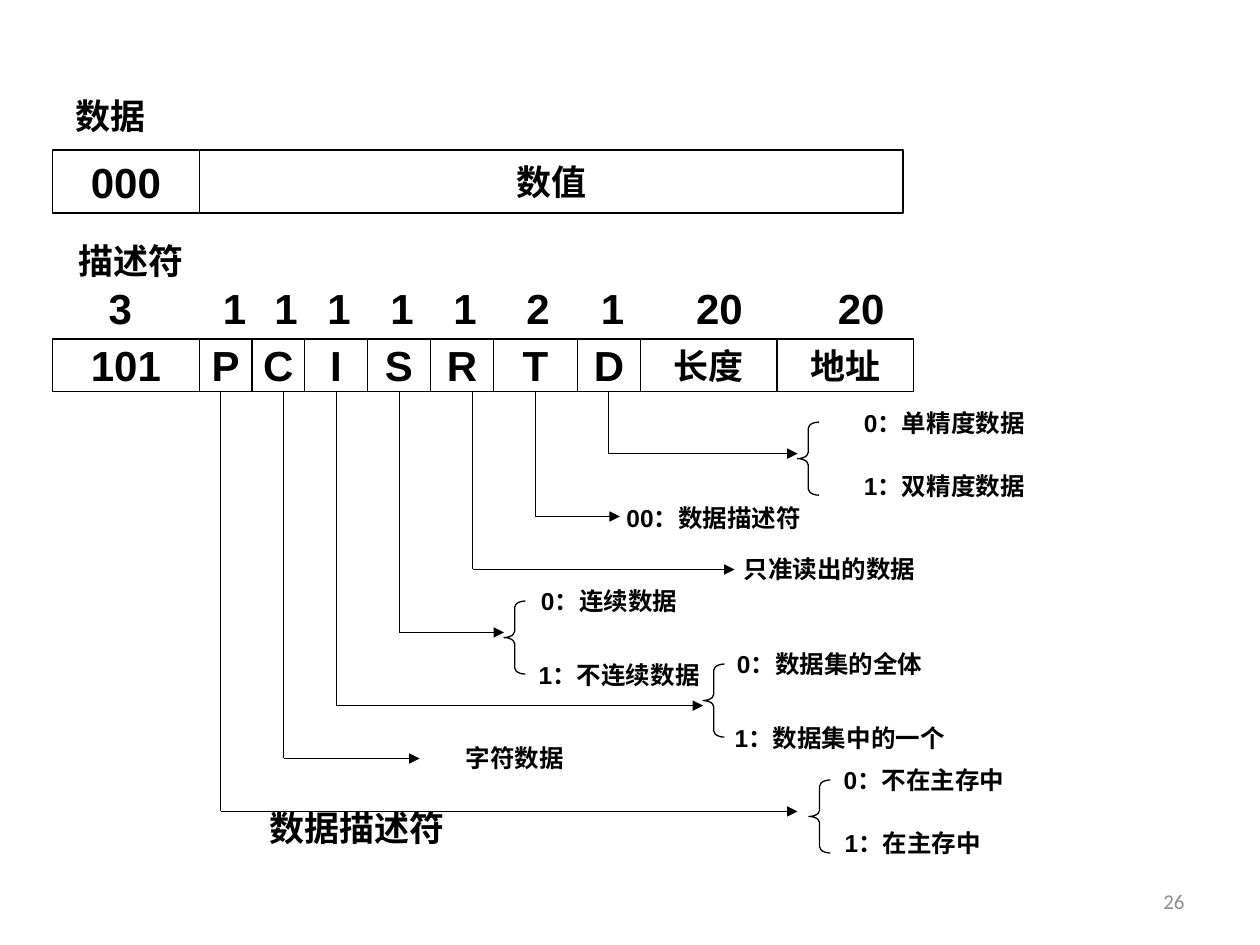
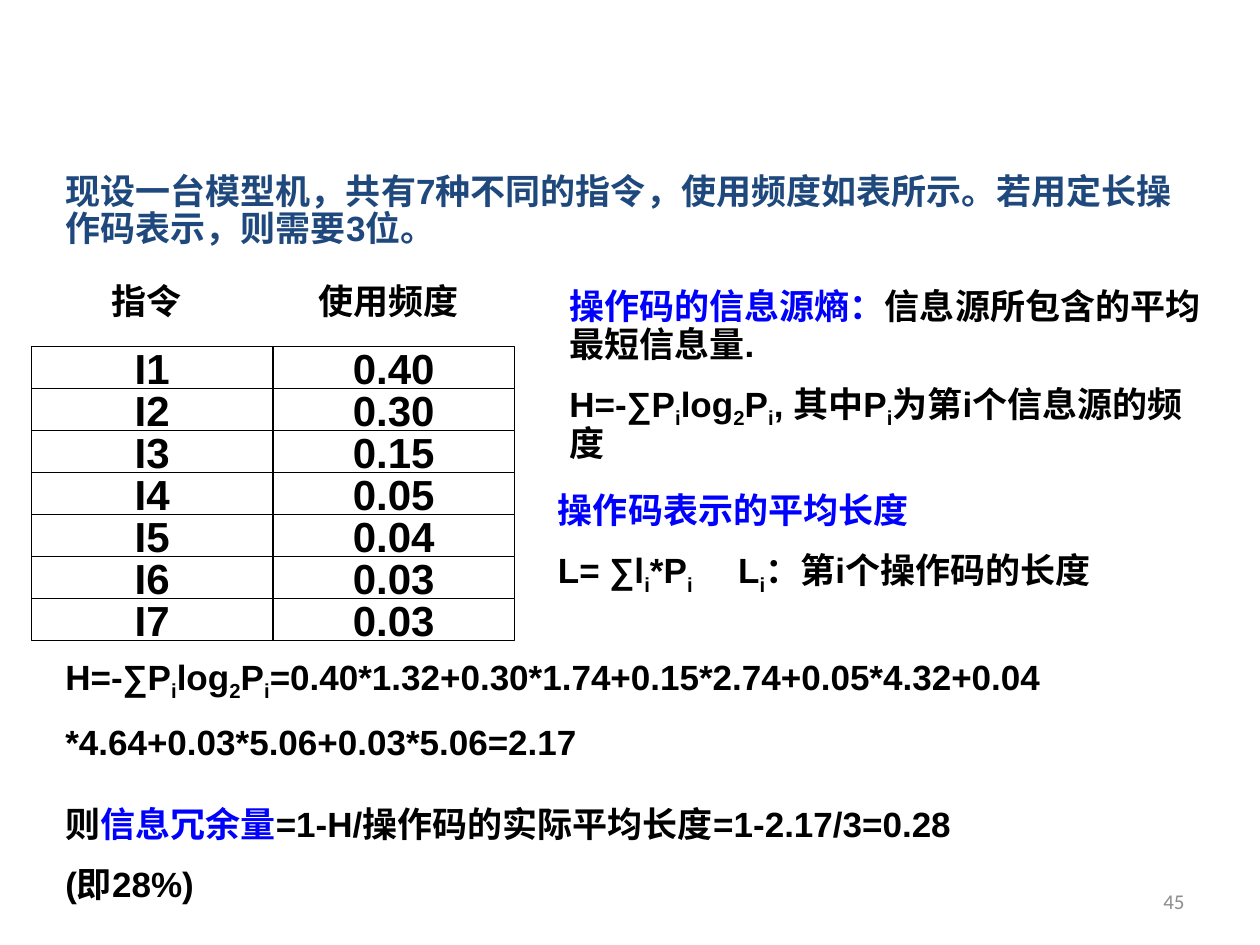
from lxml import etree
from pptx import Presentation
from pptx.dml.color import RGBColor
from pptx.enum.shapes import MSO_CONNECTOR, MSO_SHAPE
from pptx.enum.text import MSO_ANCHOR as Anchor, MSO_AUTO_SIZE as AutoSize, PP_ALIGN as Align
from pptx.oxml.ns import qn
from pptx.util import Inches, Pt

BLACK = RGBColor(0x00, 0x00, 0x00)
WHITE = RGBColor(0xFF, 0xFF, 0xFF)
BLUE = RGBColor(0x00, 0x00, 0xFF)
NAVY = RGBColor(0x1F, 0x49, 0x7D)
GRAY = RGBColor(0x8C, 0x8C, 0x8C)
HAIRLINE = Pt(0.75)
UNIT = 1 / 12

FIELDS = [
    ("101", 14, 24), ("P", 5, 24), ("C", 5, 24), ("I", 6, 24), ("S", 6, 24),
    ("R", 6, 24), ("T", 8, 24), ("D", 6, 24), ("长度", 13, 20), ("地址", 13, 20),
]
BIT_COUNTS = [
    ("3", 0.58, 0.75), ("1", 1.67, 0.33), ("1", 2.08, 0.33), ("1", 2.5, 0.33),
    ("1", 3, 0.33), ("1", 3.5, 0.33), ("2", 4.08, 0.33), ("1", 4.67, 0.33),
    ("20", 5.42, 0.58), ("20", 6.5, 0.67),
]
FLAG_PATHS = [
    (1.75, 6.44, 6.33), (2.25, 6.02, 3.33), (2.67, 5.6, 5.58), (3.17, 5.02, 4),
    (3.75, 4.52, 5.83), (4.25, 4.1, 4.92), (4.83, 3.6, 6.33),
]
BRACES = [(6.33, 3.35), (4, 4.77), (5.58, 5.27), (6.42, 6.19)]
FLAG_MEANINGS = [
    ("0：单精度数据", 6.58, 3.19, 1.83), ("1：双精度数据", 6.58, 3.69, 1.83),
    ("00：数据描述符", 4.75, 3.94, 1.83), ("只准读出的数据", 5.67, 4.35, 1.83),
    ("0：连续数据", 3.92, 4.6, 1.83), ("1：不连续数据", 4, 5.19, 1.83),
    ("0：数据集的全体", 5.67, 5.1, 1.83), ("1：数据集中的一个", 5.58, 5.69, 2.17),
    ("字符数据", 3.17, 5.85, 1.83), ("0：不在主存中", 6.42, 6.02, 1.83),
    ("1：在主存中", 6.33, 6.52, 1.83),
]
FREQUENCIES = ["0.40", "0.30", "0.15", "0.05", "0.04", "0.03", "0.03"]


def box(left, top, width, height):
    return [Inches(length) for length in (left, top, width, height)]


def add_run(paragraph, text, size, color, font, bold, subscript=False):
    run = paragraph.add_run()
    run.text = text
    run.font.size = Pt(size)
    run.font.name = font
    run.font.bold = bold
    run.font.color.rgb = color
    if subscript:
        run.font._element.set("baseline", "-25000")


def write_text(frame, paragraphs, size=20, color=BLACK, font="Arial", bold=True,
               align=Align.LEFT, line_spacing=None, gap=10):
    """Paragraphs hold strings or (string, colour) pairs; "_" lowers the next letter."""
    if isinstance(paragraphs, str):
        paragraphs = [[paragraphs]]
    for index, pieces in enumerate(paragraphs):
        paragraph = frame.add_paragraph() if index else frame.paragraphs[0]
        paragraph.alignment = align
        paragraph.space_before = Pt(gap if index else 0)
        if line_spacing:
            paragraph.line_spacing = line_spacing
        for piece in pieces:
            text, tint = (piece, color) if isinstance(piece, str) else piece
            plain, *lowered = text.split("_")
            if plain:
                add_run(paragraph, plain, size, tint, font, bold)
            for part in lowered:
                add_run(paragraph, part[0], size, tint, font, bold, subscript=True)
                if part[1:]:
                    add_run(paragraph, part[1:], size, tint, font, bold)


def add_label(slide, paragraphs, left, top, width, height=0.43, anchor=Anchor.TOP, **style):
    frame = slide.shapes.add_textbox(*box(left, top, width, height)).text_frame
    frame.word_wrap = True
    frame.auto_size = AutoSize.SHAPE_TO_FIT_TEXT if anchor == Anchor.TOP else AutoSize.NONE
    frame.vertical_anchor = anchor
    write_text(frame, paragraphs, **style)
    return frame


def add_outline(slide, preset, left, top, width, height):
    outline = slide.shapes.add_shape(preset, *box(left, top, width, height))
    outline.shadow.inherit = False
    outline.line.color.rgb = BLACK
    outline.line.width = HAIRLINE
    return outline


def add_field_row(slide, fields, top, height, first_unit=5):
    start = first_unit
    for name, units, size in fields:
        field = add_outline(slide, MSO_SHAPE.RECTANGLE, start * UNIT, top, units * UNIT, height)
        field.fill.solid()
        field.fill.fore_color.rgb = WHITE
        field.text_frame.word_wrap = False
        field.text_frame.vertical_anchor = Anchor.MIDDLE
        write_text(field.text_frame, name, size=size, align=Align.CENTER)
        start += units


def add_brace(slide, left, top):
    brace = add_outline(slide, MSO_SHAPE.LEFT_BRACE, left, top, 0.17, 0.58)
    brace.fill.background()
    brace.adjustments[0] = 0.29


def add_line(slide, start, end, arrow=False):
    line = slide.shapes.add_connector(
        MSO_CONNECTOR.STRAIGHT, *[Inches(length) for length in (*start, *end)])
    line.line.color.rgb = BLACK
    line.line.width = HAIRLINE
    if arrow:
        etree.SubElement(line.line._get_or_add_ln(), qn("a:tailEnd"), type="triangle")
    etree.SubElement(line._element.spPr, qn("a:effectLst"))


def add_page_number(slide, number):
    add_label(slide, number, 7.17, 6.95, 2.33, 0.4, anchor=Anchor.MIDDLE,
              size=12, color=GRAY, font="Calibri", bold=False, align=Align.RIGHT)


def add_frequency_rows(slide):
    row_height = 4 * UNIT
    for row, frequency in enumerate(FREQUENCIES):
        add_field_row(slide, [(f"I{row + 1}", 23, 24), (frequency, 23, 24)],
                      2.75 + row * row_height, row_height, first_unit=3)


def add_introduction(slide, text):
    body = slide.placeholders[1]
    body.left, body.top, body.width, body.height = box(0.42, 1.33, 9.25, 0.75)
    body.text_frame.auto_size = AutoSize.NONE
    write_text(body.text_frame, text, color=NAVY, line_spacing=0.9)
    properties = body.text_frame.paragraphs[0]._p.get_or_add_pPr()
    properties.set("marL", "0")
    properties.set("indent", "0")
    etree.SubElement(properties, qn("a:buNone"))


def set_tab_stop(paragraph, position):
    stops = etree.SubElement(paragraph._p.get_or_add_pPr(), qn("a:tabLst"))
    etree.SubElement(stops, qn("a:tab"), pos=str(Inches(position)), algn="l")


def build_descriptor_slide(prs):
    slide = prs.slides.add_slide(prs.slide_layouts[6])
    add_label(slide, "数据", 0.5, 0.7, 1.08)
    add_field_row(slide, [("000", 14, 24), ("数值", 67, 20)], 1.19, 0.5)
    add_label(slide, "描述符", 0.5, 1.85, 1.08, align=Align.CENTER)
    add_field_row(slide, FIELDS, 2.69, 5 * UNIT)
    for bits, left, width in BIT_COUNTS:
        add_label(slide, bits, left, 2.19, width, 0.5, size=24, align=Align.CENTER)
    for x, y, end in FLAG_PATHS:
        add_line(slide, (x, 3.1), (x, y))
        add_line(slide, (x, y), (end, y), arrow=True)
    for left, top in BRACES:
        add_brace(slide, left, top)
    for meaning, left, top, width in FLAG_MEANINGS:
        add_label(slide, meaning, left, top, width, 0.33, size=14, align=Align.CENTER)
    add_label(slide, "数据描述符", 2, 6.35, 1.67, align=Align.CENTER)
    add_page_number(slide, "26")


def build_entropy_slide(prs):
    slide = prs.slides.add_slide(prs.slide_layouts[1])
    title = slide.shapes.title._element
    title.getparent().remove(title)
    add_introduction(slide, "现设一台模型机，共有7种不同的指令，使用频度如表所示。"
                            "若用定长操作码表示，则需要3位。")
    add_frequency_rows(slide)
    for heading, left in (("指令", 0.33), ("使用频度", 2.25)):
        add_label(slide, heading, left, 2.17, 1.67, align=Align.CENTER)
    average_length = add_label(slide, [
        [("操作码表示的平均长度", BLUE)],
        ["L= ∑l_i*P_i\tL_i：第i个操作码的长度"],
    ], 4.33, 3.83, 5.33, 0.93)
    set_tab_stop(average_length.paragraphs[1], 1.43)
    add_label(slide, [
        ["H=-∑P_ilog_2P_i=0.40*1.32+0.30*1.74+0.15*2.74+0.05*4.32+0.04"],
        ["*4.64+0.03*5.06+0.03*5.06=2.17"],
    ], 0.42, 5.15, 8, 1.28)
    add_label(slide, [
        ["则", ("信息冗余量", BLUE), "=1-H/操作码的实际平均长度=1-2.17/3=0.28"],
        ["(即28%)"],
    ], 0.42, 6.32, 7.75, 0.93)
    add_label(slide, [
        [("操作码的信息源熵：", BLUE), "信息源所包含的平均最短信息量."],
        ["H=-∑P_ilog_2P_i, 其中P_i为第i个信息源的频度"],
    ], 4.42, 2.25, 5.33, 1.47, line_spacing=0.9)
    add_page_number(slide, "45")


def main():
    prs = Presentation()
    prs.slide_width, prs.slide_height = Inches(10), Inches(7.5)
    build_descriptor_slide(prs)
    build_entropy_slide(prs)
    prs.save("out.pptx")


if __name__ == "__main__":
    main()
